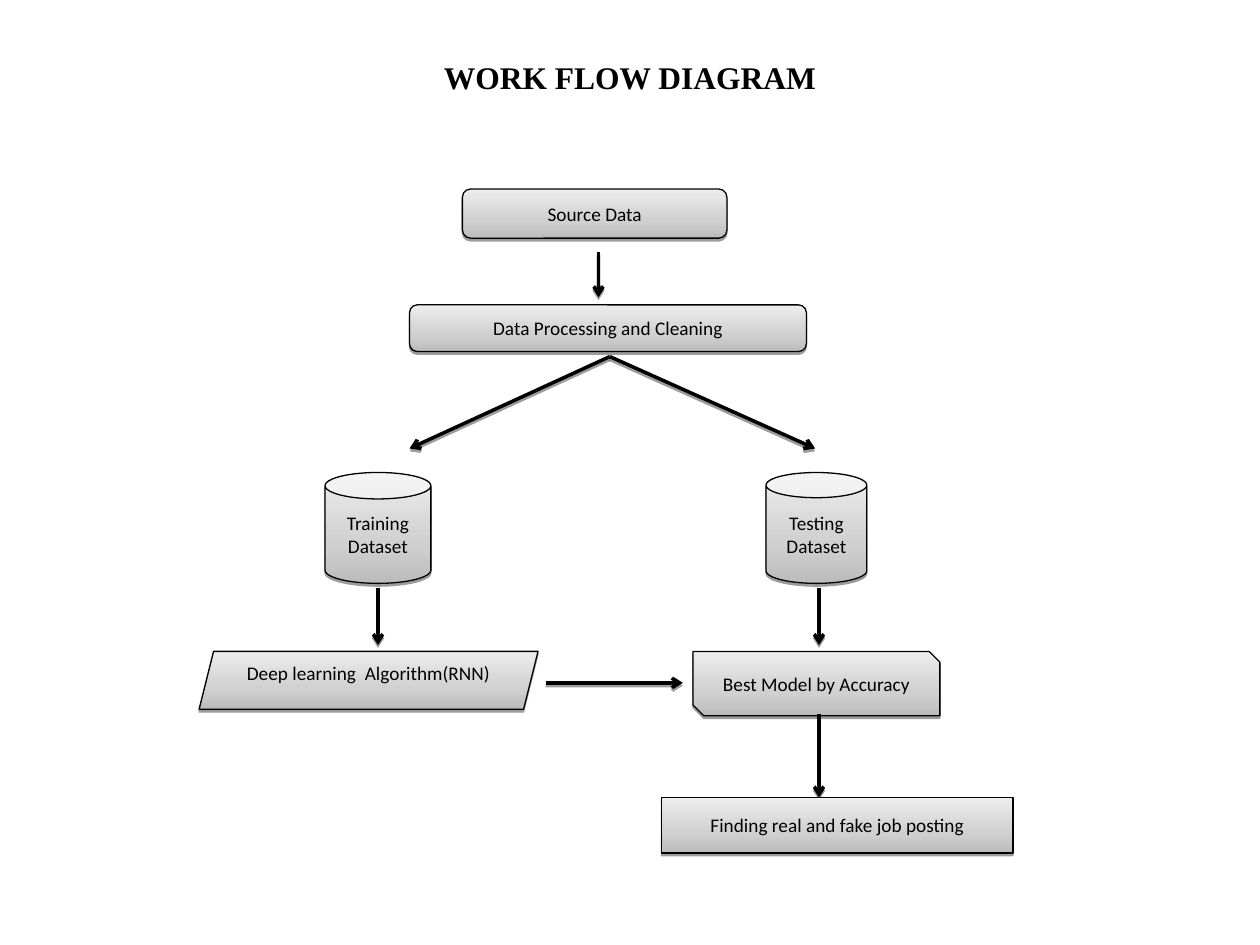
from copy import deepcopy
from dataclasses import dataclass

from lxml.etree import SubElement
from pptx import Presentation
from pptx.dml.color import RGBColor
from pptx.enum.shapes import MSO_CONNECTOR, MSO_SHAPE
from pptx.enum.text import MSO_ANCHOR, PP_ALIGN
from pptx.oxml.ns import qn
from pptx.util import Inches, Pt


@dataclass(frozen=True)
class Theme:
    ink: str = "000000"
    gradient: tuple = ((0, "BCBCBC"), (0.35, "D0D0D0"), (1, "EDEDED"))
    gradient_angle: int = 90
    title_font: str = "Times New Roman"
    body_font: str = "Calibri"
    title_size: int = 18
    body_size: int = 11
    outline: float = 0.75
    arrow: float = 2
    shadow_distance: float = 1.6
    shadow_opacity: int = 38


class WorkflowSlide:
    """Draws the elements of the workflow on one slide."""

    def __init__(self, slide, theme):
        self.slide = slide
        self.theme = theme
        self.ink = RGBColor.from_string(theme.ink)

    def add_text(self, text_frame, text, font_name, size, bold=False):
        paragraph = text_frame.paragraphs[0]
        paragraph.alignment = PP_ALIGN.CENTER
        run = paragraph.add_run()
        run.text = text
        run.font.name = font_name
        run.font.size = Pt(size)
        run.font.bold = bold
        run.font.color.rgb = self.ink

    def outline(self, line, width):
        line.color.rgb = self.ink
        line.width = Pt(width)

    def shadow(self, shape):
        """Add a hard shadow falling straight down."""
        effects = SubElement(shape._element.spPr, qn("a:effectLst"))
        shadow = SubElement(
            effects, qn("a:outerShdw"), blurRad="0",
            dist=str(Pt(self.theme.shadow_distance)), dir="5400000", rotWithShape="0")
        color = SubElement(shadow, qn("a:srgbClr"), val=self.theme.ink)
        SubElement(color, qn("a:alpha"), val=str(self.theme.shadow_opacity * 1000))

    def gradient(self, shape):
        shape.fill.gradient()
        shape.fill.gradient_angle = self.theme.gradient_angle
        # A new gradient has two stops; the theme needs a third
        last_stop = shape._element.xpath(".//a:gs")[-1]
        last_stop.addnext(deepcopy(last_stop))
        for stop, (position, color) in zip(shape.fill.gradient_stops, self.theme.gradient):
            stop.position = position
            stop.color.rgb = RGBColor.from_string(color)

    def title(self, text, left, top, width, height):
        title = self.slide.shapes.title
        title.left, title.top = Inches(left), Inches(top)
        title.width, title.height = Inches(width), Inches(height)
        title.text_frame.vertical_anchor = MSO_ANCHOR.MIDDLE
        self.add_text(title.text_frame, text, self.theme.title_font,
                      self.theme.title_size, bold=True)

    def step(self, kind, text, left, top, width, height):
        shape = self.slide.shapes.add_shape(
            kind, Inches(left), Inches(top), Inches(width), Inches(height))
        self.gradient(shape)
        self.outline(shape.line, self.theme.outline)
        self.shadow(shape)
        text_frame = shape.text_frame
        text_frame.word_wrap = True
        text_frame.vertical_anchor = MSO_ANCHOR.MIDDLE
        self.add_text(text_frame, text, self.theme.body_font, self.theme.body_size)
        return shape

    def arrow(self, start_x, start_y, end_x, end_y):
        connector = self.slide.shapes.add_connector(
            MSO_CONNECTOR.STRAIGHT, Inches(start_x), Inches(start_y),
            Inches(end_x), Inches(end_y))
        self.outline(connector.line, self.theme.arrow)
        line_properties = connector._element.spPr.find(qn("a:ln"))
        SubElement(line_properties, qn("a:tailEnd"), type="arrow")
        self.shadow(connector)


def main():
    presentation = Presentation()
    presentation.slide_width = Inches(10)
    presentation.slide_height = Inches(7.5)
    slide = presentation.slides.add_slide(presentation.slide_layouts[5])
    workflow = WorkflowSlide(slide, Theme())

    workflow.title("WORK FLOW DIAGRAM", 0.5, 0.3, 9, 0.62)

    # Rows and branch centres shared by shapes and arrows
    dataset_top, model_top, result_top = 3.75, 5.17, 6.33
    training_x, testing_x = 3, 6.5

    # Data preparation
    workflow.step(MSO_SHAPE.ROUNDED_RECTANGLE, "Data Processing and Cleaning",
                  3.25, 2.42, 3.15, 0.37)
    workflow.step(MSO_SHAPE.ROUNDED_RECTANGLE, "Source Data", 3.67, 1.5, 2.1, 0.39)
    workflow.arrow(4.75, 2, 4.75, 2.36)

    # Split into the two datasets
    for end_x in (3.25, 6.47):
        workflow.arrow(4.84, 2.83, end_x, 3.56)
    workflow.step(MSO_SHAPE.CAN, "Training Dataset", 2.58, dataset_top, 0.84, 0.88)
    workflow.step(MSO_SHAPE.CAN, "Testing Dataset", 6.08, dataset_top, 0.8, 0.88)
    for center_x in (training_x, testing_x):
        workflow.arrow(center_x, 4.67, center_x, 5.12)

    # Model, its label set slightly above the middle
    algorithm = workflow.step(MSO_SHAPE.PARALLELOGRAM, "Deep learning  Algorithm(RNN)",
                              1.58, model_top, 2.69, 0.46)
    algorithm.text_frame.margin_top = 0
    algorithm.text_frame.margin_bottom = Inches(0.12)
    workflow.step(MSO_SHAPE.SNIP_2_DIAG_RECTANGLE, "Best Model by Accuracy",
                  5.5, model_top, 1.96, 0.51)
    workflow.arrow(4.33, 5.42, 5.42, 5.42)

    # Result
    workflow.arrow(testing_x, 5.67, testing_x, result_top)
    workflow.step(MSO_SHAPE.RECTANGLE, "Finding real and fake job posting",
                  5.25, result_top, 2.79, 0.44)

    presentation.save("out.pptx")


if __name__ == "__main__":
    main()
